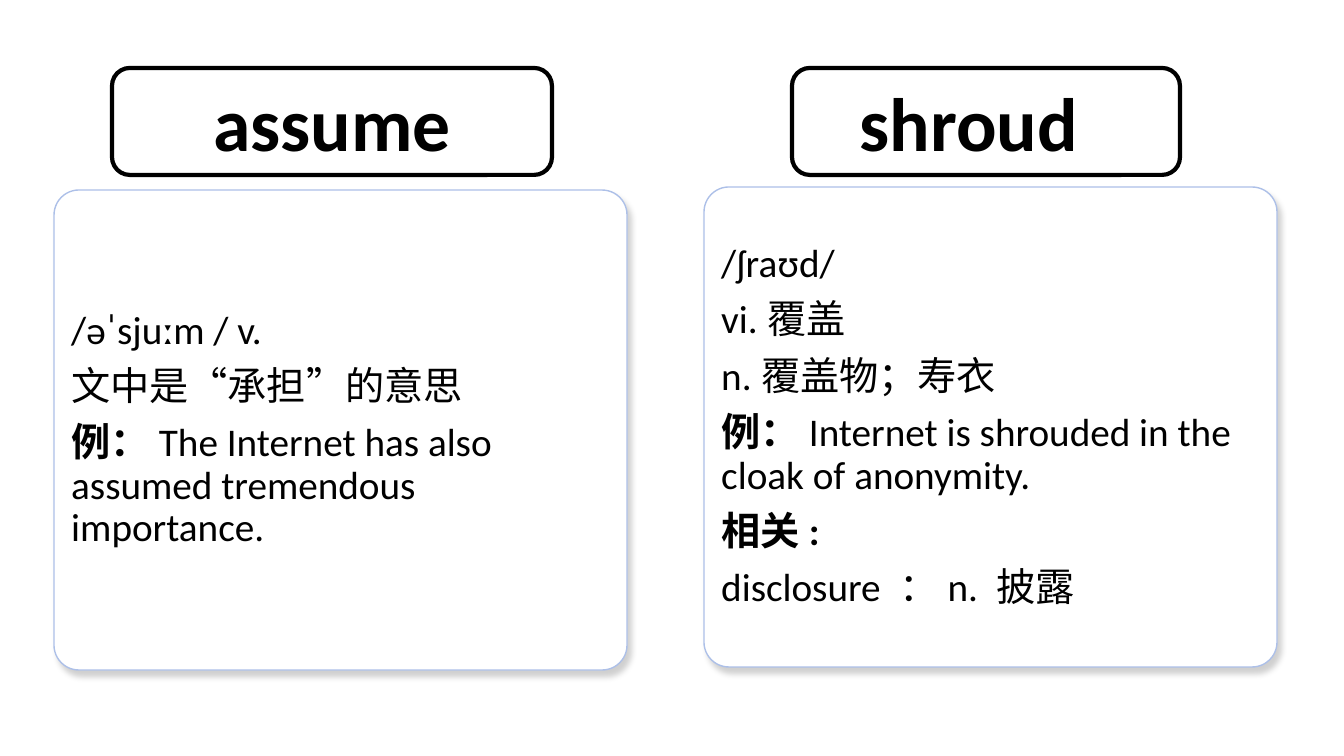
from lxml.etree import SubElement
from pptx import Presentation
from pptx.dml.color import RGBColor
from pptx.enum.shapes import MSO_SHAPE
from pptx.enum.text import MSO_ANCHOR, PP_ALIGN
from pptx.oxml.ns import qn
from pptx.util import Emu, Pt

COLORS = {"text": "000000", "card": "FFFFFF", "card_line": "ADC0E8", "shadow": "000000"}
EMU_PER_PX = 12192000 / 1344


def px(length):
    return Emu(round(length * EMU_PER_PX))


def color(name):
    return RGBColor.from_string(COLORS[name])


class VocabularySlide:
    font_name = "Calibri"

    def __init__(self, presentation):
        self.slide = presentation.slides.add_slide(presentation.slide_layouts[6])

    def rounded_box(self, left, top, width, height, line, line_width):
        box = self.slide.shapes.add_shape(
            MSO_SHAPE.ROUNDED_RECTANGLE, px(left), px(top), px(width), px(height))
        box.shadow.inherit = False
        box.line.color.rgb = color(line)
        box.line.width = Pt(line_width)
        box.text_frame.word_wrap = True
        box.text_frame.vertical_anchor = MSO_ANCHOR.MIDDLE
        return box

    def style(self, paragraph, size, align):
        paragraph.alignment = align
        paragraph.font.name = self.font_name
        paragraph.font.size = Pt(size)
        paragraph.font.color.rgb = color("text")

    def headword(self, word, left, width, right_inset=10):
        box = self.rounded_box(left, 68, width, 107, "text", 3)
        box.fill.background()
        box.text_frame.margin_right = px(right_inset)
        paragraph = box.text_frame.paragraphs[0]
        paragraph.text = word
        self.style(paragraph, 54, PP_ALIGN.CENTER)
        paragraph.font.bold = True

    def card(self, left, top, entries):
        """Draw a definition card; each entry is a (bold label, plain text) pair."""
        box = self.rounded_box(left, top, 573, 480, "card_line", 1)
        box.adjustments[0] = 0.052
        box.fill.solid()
        box.fill.fore_color.rgb = color("card")
        self.soft_shadow(box)
        frame = box.text_frame
        for index, entry in enumerate(entries):
            paragraph = frame.add_paragraph() if index else frame.paragraphs[0]
            self.style(paragraph, 28, PP_ALIGN.LEFT)
            paragraph.line_spacing = 0.9
            paragraph.space_before = Pt(10)
            for text, bold in zip(entry, (True, False)):
                if text:
                    run = paragraph.add_run()
                    run.text = text
                    run.font.bold = bold

    def soft_shadow(self, box):
        effects = box._element.spPr.find(qn("a:effectLst"))
        shadow = SubElement(effects, qn("a:outerShdw"), blurRad=str(Pt(4)),
                            dist=str(Pt(5)), dir=str(60 * 60000), rotWithShape="0")
        tint = SubElement(shadow, qn("a:srgbClr"), val=COLORS["shadow"])
        SubElement(tint, qn("a:alpha"), val="18000")


def main():
    presentation = Presentation()
    presentation.slide_width, presentation.slide_height = px(1344), px(756)
    vocabulary = VocabularySlide(presentation)

    vocabulary.card(54, 190, [
        ("", "/əˈsjuːm / v."),
        ("", "文中是“承担”的意思"),
        ("例：", "The Internet has also assumed tremendous importance."),
    ])
    vocabulary.headword("shroud", 792, 388, right_inset=44)
    vocabulary.card(704, 187, [
        ("", "/ʃraʊd/"),
        ("", "vi.覆盖"),
        ("", "n.覆盖物；寿衣"),
        ("例：", "Internet is shrouded in the cloak of anonymity."),
        ("相关:", ""),
        ("", "disclosure ：n. 披露"),
    ])
    vocabulary.headword("assume", 112, 440)

    presentation.save("out.pptx")


if __name__ == "__main__":
    main()
